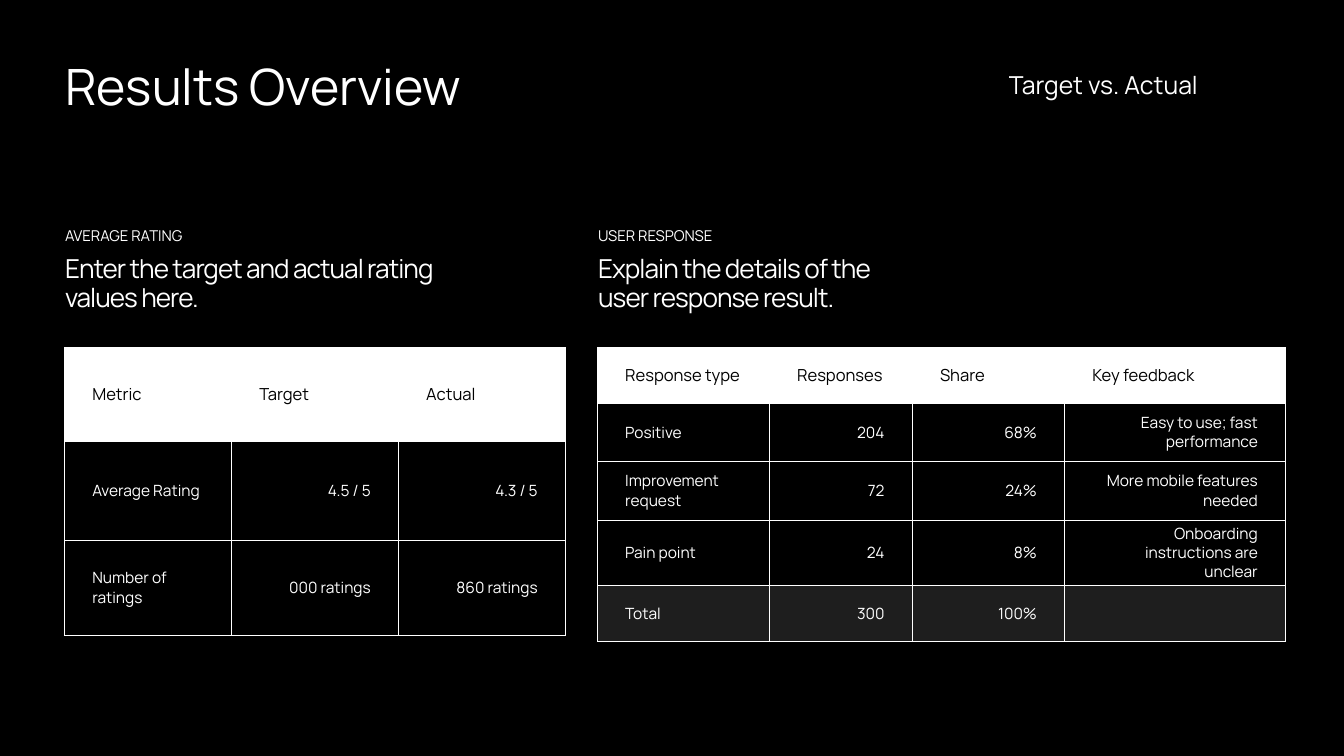
from lxml.etree import SubElement
from pptx import Presentation
from pptx.dml.color import RGBColor
from pptx.enum.text import MSO_ANCHOR, MSO_AUTO_SIZE, PP_ALIGN
from pptx.oxml.ns import qn
from pptx.util import Cm, Pt

BLACK = RGBColor(0x00, 0x00, 0x00)
WHITE = RGBColor(0xFF, 0xFF, 0xFF)
CHARCOAL = RGBColor(0x1E, 0x1E, 0x1E)
LEFT_COLUMN = 2.46
RIGHT_COLUMN = 22.61
TABLE_TOP = 13.13


def set_attributes(target, values):
    for name, value in values.items():
        setattr(target, name, value)


def write_paragraph(paragraph, text, size, color, line_spacing, alignment=PP_ALIGN.LEFT):
    run = paragraph.add_run()
    run.text = text
    set_attributes(paragraph, {"alignment": alignment, "line_spacing": line_spacing})
    set_attributes(run.font, {"name": "Manrope", "size": Pt(size)})
    run.font.color.rgb = color
    return run


presentation = Presentation()
presentation.slide_width = Cm(50.8)
presentation.slide_height = Cm(28.58)
slide = presentation.slides.add_slide(presentation.slide_layouts[5])
slide.background.fill.solid()
slide.background.fill.fore_color.rgb = BLACK

title = slide.shapes.title
set_attributes(title, {"left": Cm(LEFT_COLUMN), "top": Cm(1.75),
                       "width": Cm(27.48), "height": Cm(2.72)})
set_attributes(title.text_frame, {
    "margin_left": 0, "margin_top": 0, "margin_right": 0, "margin_bottom": 0,
    "word_wrap": True, "auto_size": MSO_AUTO_SIZE.NONE,
    "vertical_anchor": MSO_ANCHOR.TOP})
write_paragraph(title.text_frame.paragraphs[0], "Results Overview", 53.6, WHITE, 1.16)

SUBTITLE = {"size": 26.5, "line_spacing": 1.0, "alignment": PP_ALIGN.CENTER}
LABEL = {"size": 16, "line_spacing": 1.0}
STATEMENT = {"size": 28, "line_spacing": 0.91}
text_boxes = [
    ("Target vs. Actual", 36.68, 2.51, 10.06, 1.37, 0.13, SUBTITLE),
    ("AVERAGE RATING", LEFT_COLUMN, 8.53, 7.8, 0.84, 0.05, LABEL),
    ("USER RESPONSE", RIGHT_COLUMN, 8.53, 7.8, 0.84, 0.05, LABEL),
    ("Enter the target and actual rating values here.",
     LEFT_COLUMN, 9.53, 16.21, 2.54, 0.15, STATEMENT),
    ("Explain the details of the user response result.",
     RIGHT_COLUMN, 9.53, 11.96, 2.54, 0.15, STATEMENT),
]
for text, left, top, width, height, margin_top, text_style in text_boxes:
    text_box = slide.shapes.add_textbox(Cm(left), Cm(top), Cm(width), Cm(height))
    set_attributes(text_box.text_frame, {
        "margin_left": 0, "margin_top": Cm(margin_top), "margin_right": 0,
        "margin_bottom": 0, "word_wrap": True})
    run = write_paragraph(text_box.text_frame.paragraphs[0], text, color=WHITE, **text_style)
    if text_style is STATEMENT:
        run.font._element.set("spc", "-100")

rating_rows = [
    ["Metric", "Target", "Actual"],
    ["Average Rating", "4.5 / 5", "4.3 / 5"],
    ["Number of ratings", "000 ratings", "860 ratings"],
]
response_rows = [
    ["Response type", "Responses", "Share", "Key feedback"],
    ["Positive", "204", "68%", "Easy to use; fast performance"],
    ["Improvement request", "72", "24%", "More mobile features needed"],
    ["Pain point", "24", "8%", "Onboarding instructions are unclear"],
    ["Total", "300", "100%", ""],
]
tables = [
    (rating_rows, 2.44, [6.31] * 3, [3.56, 3.73, 3.58]),
    (response_rows, 22.58, [6.5, 5.4, 5.76, 8.35], [2.11, 2.21, 2.21, 2.47, 2.11]),
]
for rows, left, column_widths, row_heights in tables:
    table = slide.shapes.add_table(
        len(rows), len(column_widths), Cm(left), Cm(TABLE_TOP),
        Cm(sum(column_widths)), Cm(sum(row_heights))).table
    for column, width in zip(table.columns, column_widths):
        column.width = Cm(width)
    for row, height in zip(table.rows, row_heights):
        row.height = Cm(height)

    for row_index, row_texts in enumerate(rows):
        is_header = row_index == 0
        fill_color = WHITE if is_header else CHARCOAL if row_texts[0] == "Total" else BLACK
        vertical_margin = Cm(0.15 if is_header else 0.13)
        for column_index, text in enumerate(row_texts):
            cell = table.cell(row_index, column_index)
            set_attributes(cell, {
                "margin_left": Cm(1.05), "margin_right": Cm(1.05),
                "margin_top": vertical_margin, "margin_bottom": vertical_margin,
                "vertical_anchor": MSO_ANCHOR.MIDDLE})
            properties = cell._tc.get_or_add_tcPr()
            for side in ("a:lnL", "a:lnR", "a:lnT", "a:lnB"):
                border = SubElement(properties, qn(side), w=str(Pt(0.75)))
                border_fill = SubElement(border, qn("a:solidFill"))
                SubElement(border_fill, qn("a:srgbClr"), val=str(WHITE))
            cell.fill.solid()
            cell.fill.fore_color.rgb = fill_color
            if text:
                is_value = column_index > 0 and not is_header
                write_paragraph(
                    cell.text_frame.paragraphs[0], text,
                    17.8 if is_header else 16.6,
                    BLACK if is_header else WHITE, 0.92,
                    PP_ALIGN.RIGHT if is_value else PP_ALIGN.LEFT)

presentation.save("out.pptx")
